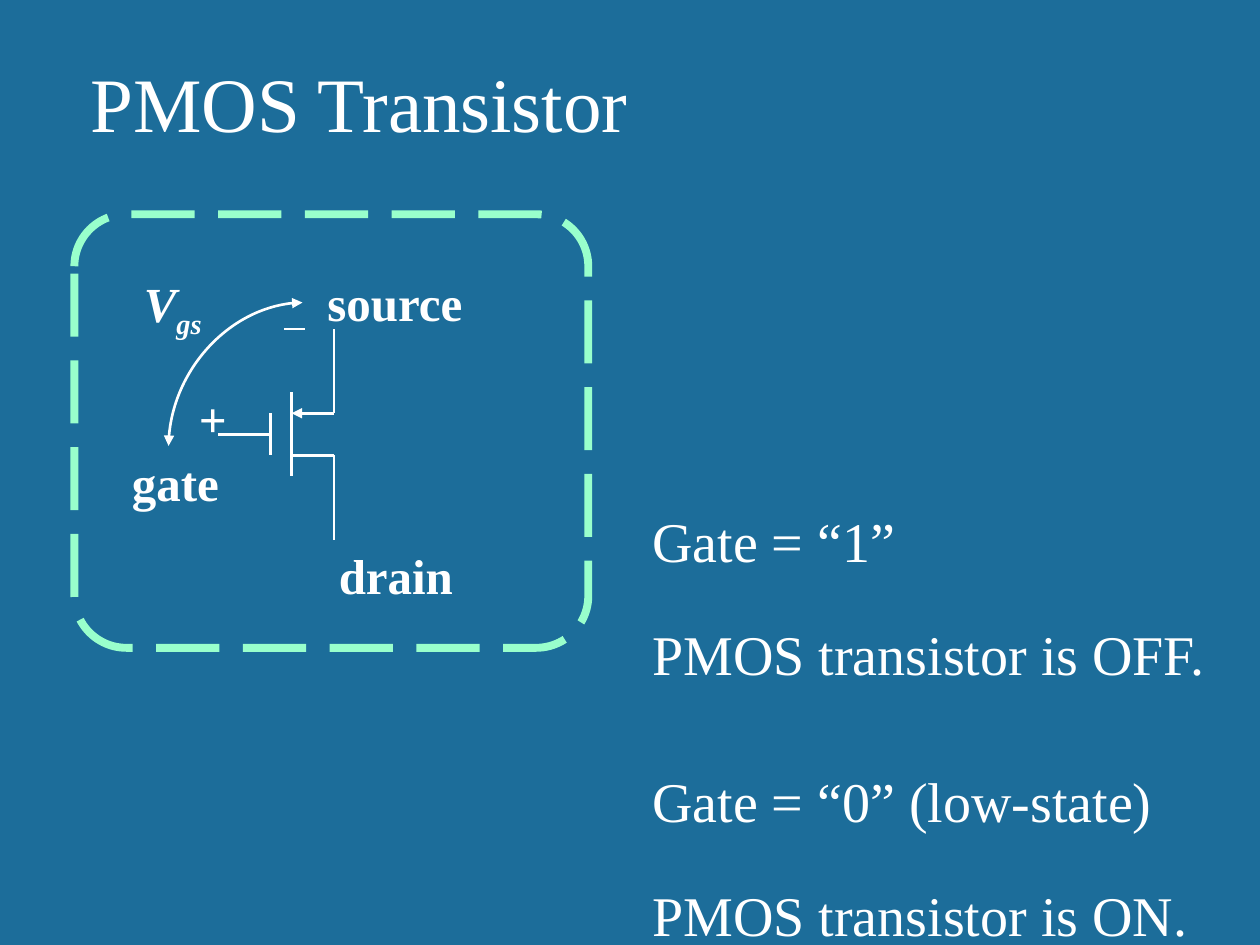
from typing import NamedTuple

from lxml.etree import SubElement
from pptx import Presentation
from pptx.dml.color import RGBColor
from pptx.enum.dml import MSO_LINE
from pptx.enum.shapes import MSO_CONNECTOR, MSO_SHAPE
from pptx.enum.text import MSO_ANCHOR, MSO_AUTO_SIZE, PP_ALIGN
from pptx.oxml.ns import qn
from pptx.util import Cm, Pt

FONT = "Times New Roman"
BLUE, WHITE, MINT = "1C6D9A", "FFFFFF", "99FFCC"

# The transistor symbol is drawn on a grid that starts at the source terminal
SOURCE_X, SOURCE_Y, DRAIN_Y = 6.73, 6.63, 10.88
STEP = (DRAIN_Y - SOURCE_Y) / 10


class Label(NamedTuple):
    text: str
    left: float
    top: float
    width: float


class Wire(NamedTuple):
    """A line in grid steps from the source terminal."""
    start: tuple[float, float]
    end: tuple[float, float]
    arrow: bool = False


class Statement(NamedTuple):
    text: str
    space_before: float


LABELS = [
    Label("source", 6.35, 5.36, 3.25),
    Label("drain", 6.58, 10.87, 2.85),
    Label("gate", 2.41, 8.99, 2.29),
    Label("+", 3.76, 7.7, 1.09),
]

WIRES = [
    Wire((-3, 4), (-3, 6)),                # gate plate
    Wire((-2, 3), (-2, 7)),                # channel
    Wire((-2, 4), (0, 4), arrow=True),     # source contact
    Wire((0, 4), (0, 0)),                  # source lead
    Wire((-2, 6), (0, 6)),                 # drain contact
    Wire((0, 6), (0, 10)),                 # drain lead
    Wire((-3, 5), (-5.5, 5)),              # gate lead
    Wire((-2.35, 0), (-1.35, 0)),          # minus sign
]

STATEMENTS = [
    Statement("Gate = “1”", 0),
    Statement("PMOS transistor is OFF.", 7.5),
    Statement("Gate = “0” (low-state)", 26),
    Statement("PMOS transistor is ON.", 7.5),
]


def color(value: str) -> RGBColor:
    return RGBColor.from_string(value)


def add_run(paragraph, text: str, size: float, bold=False, italic=False):
    run = paragraph.add_run()
    run.text = text
    font = run.font
    font.name, font.size = FONT, Pt(size)
    font.bold, font.italic = bold, italic
    font.color.rgb = color(WHITE)
    return run


def add_text_frame(slide, left: float, top: float, width: float, height: float):
    box = slide.shapes.add_textbox(Cm(left), Cm(top), Cm(width), Cm(height))
    box.text_frame.word_wrap = False
    return box.text_frame


def add_line(slide, start, end, kind=MSO_CONNECTOR.STRAIGHT, arrows=()):
    """Draw a white line; arrows lists headEnd (start) and tailEnd (end)."""
    line = slide.shapes.add_connector(kind, *(Cm(value) for value in (*start, *end)))
    line.line.color.rgb = color(WHITE)
    line.line.width = Pt(1.5)
    for arrow in arrows:
        SubElement(line.line._get_or_add_ln(), qn(f"a:{arrow}"), type="triangle")
    SubElement(line._element.spPr, qn("a:effectLst"))
    return line


def add_wire(slide, wire: Wire) -> None:
    start, end = ((SOURCE_X + x * STEP, SOURCE_Y + y * STEP)
                  for x, y in (wire.start, wire.end))
    add_line(slide, start, end, arrows=("headEnd",) if wire.arrow else ())


def add_label(slide, label: Label) -> None:
    frame = add_text_frame(slide, label.left, label.top, label.width, 1.45)
    add_run(frame.paragraphs[0], label.text, 28, bold=True)


def add_title(slide) -> None:
    title = slide.shapes.title
    title.left, title.top, title.width, title.height = Cm(1.57), Cm(0.99), Cm(21.59), Cm(2.11)
    frame = title.text_frame
    frame.auto_size = MSO_AUTO_SIZE.NONE
    frame.vertical_anchor = MSO_ANCHOR.BOTTOM
    frame.paragraphs[0].alignment = PP_ALIGN.LEFT
    add_run(frame.paragraphs[0], "PMOS Transistor", 44)


def add_statements(slide) -> None:
    frame = add_text_frame(slide, 12.9, 9.4, 11.94, 9.02)
    for index, statement in enumerate(STATEMENTS):
        paragraph = frame.add_paragraph() if index else frame.paragraphs[0]
        paragraph.line_spacing = 1.5
        if index:
            paragraph.space_before = Pt(statement.space_before)
        add_run(paragraph, statement.text, 32)


def add_border(slide) -> None:
    border = slide.shapes.add_shape(
        MSO_SHAPE.ROUNDED_RECTANGLE, Cm(1.5), Cm(4.32), Cm(10.36), Cm(8.74))
    border.adjustments[0] = 0.12
    border.shadow.inherit = False
    border.fill.background()
    border.line.color.rgb = color(MINT)
    border.line.width = Pt(4.5)
    border.line.dash_style = MSO_LINE.LONG_DASH


def add_gate_voltage(slide) -> None:
    curve = add_line(slide, (6.1, 6.1), (3.4, 8.99), MSO_CONNECTOR.CURVE,
                     ("headEnd", "tailEnd"))
    # A quarter-turn curve: leaves level, arrives upright
    curve._element.spPr.find(qn("a:prstGeom")).set("prst", "curvedConnector2")

    frame = add_text_frame(slide, 2.9, 5.51, 1.24, 1.19)
    frame.margin_left = frame.margin_right = frame.margin_top = frame.margin_bottom = 0
    paragraph = frame.paragraphs[0]
    add_run(paragraph, "V", 28, bold=True, italic=True)
    subscript = add_run(paragraph, "gs", 28, bold=True, italic=True)
    subscript._r.get_or_add_rPr().set("baseline", "-25000")


def main() -> None:
    presentation = Presentation()
    presentation.slide_width, presentation.slide_height = Cm(25.4), Cm(19.05)
    slide = presentation.slides.add_slide(presentation.slide_layouts[5])
    slide.background.fill.solid()
    slide.background.fill.fore_color.rgb = color(BLUE)

    # Text
    add_statements(slide)
    add_title(slide)

    # Transistor diagram
    add_border(slide)
    for wire in WIRES:
        add_wire(slide, wire)
    for label in LABELS:
        add_label(slide, label)
    add_gate_voltage(slide)

    presentation.save("out.pptx")


if __name__ == "__main__":
    main()
